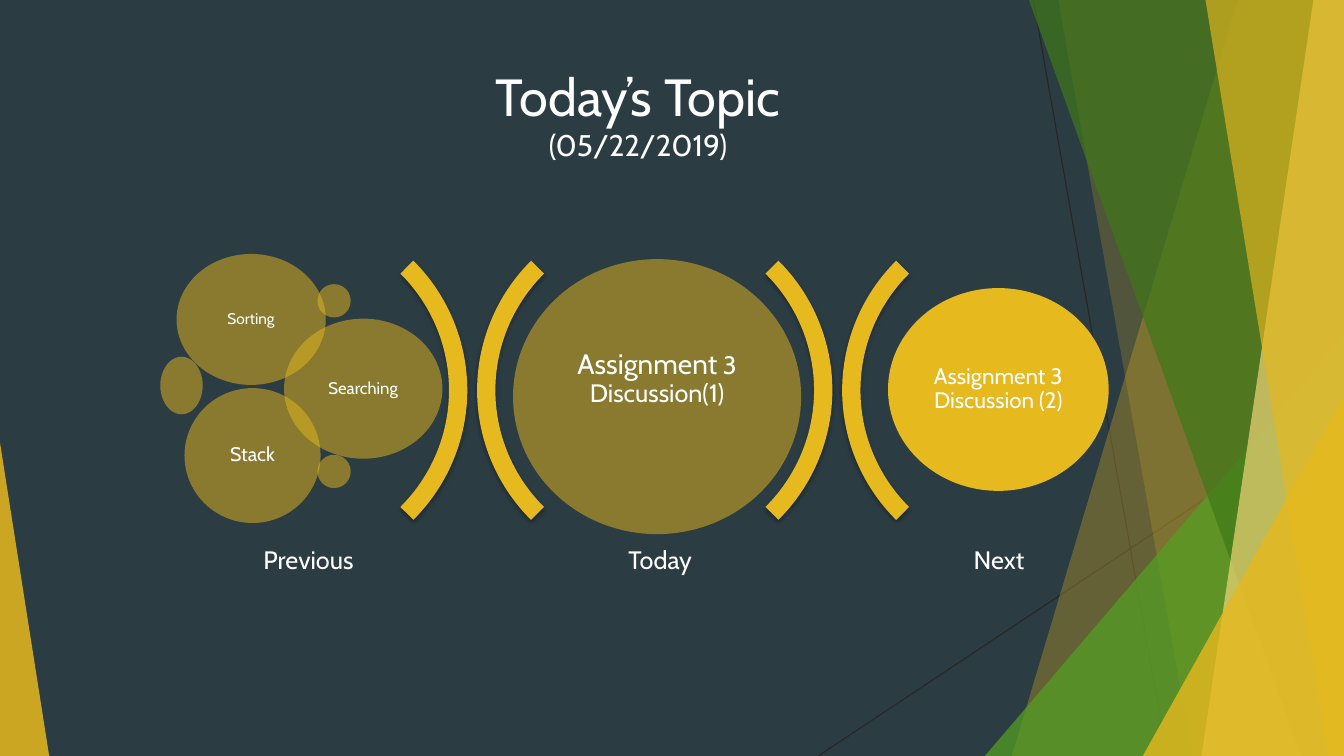
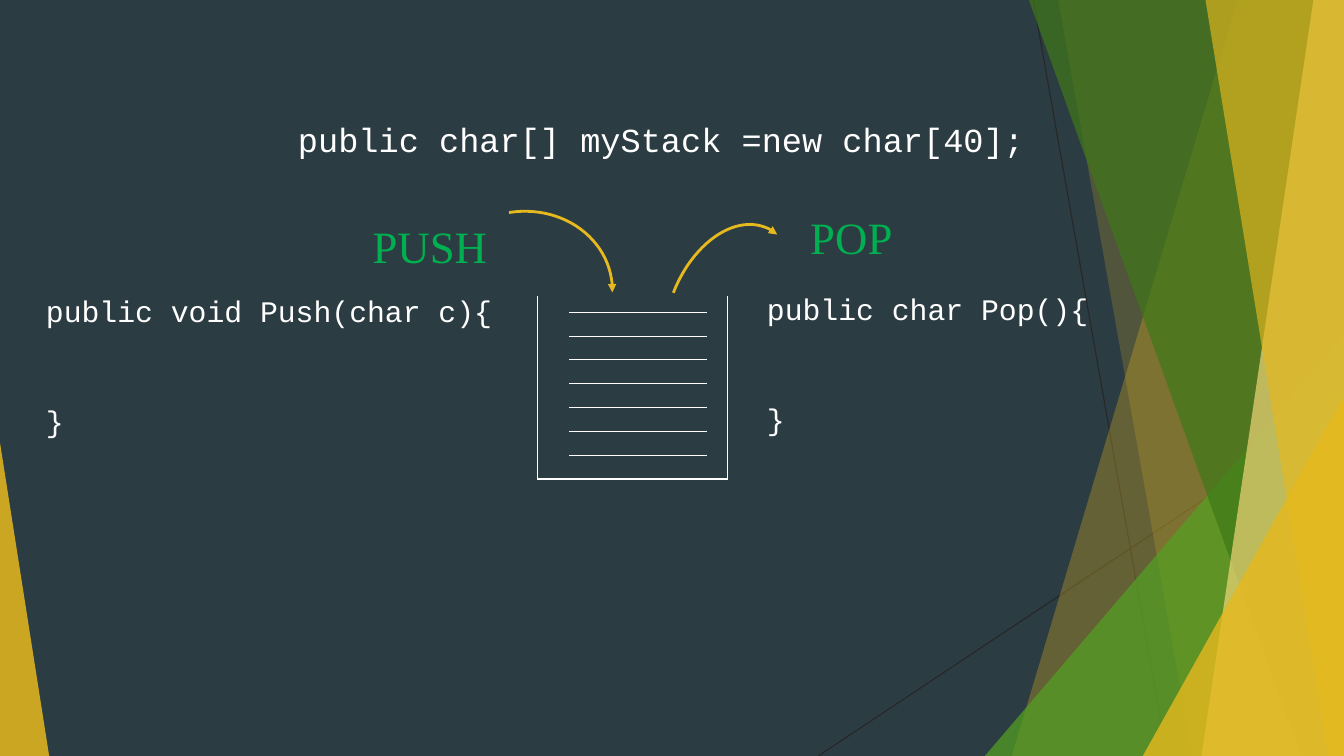
from lxml.etree import SubElement
from pptx import Presentation
from pptx.dml.color import RGBColor
from pptx.enum.shapes import MSO_CONNECTOR, MSO_SHAPE as SHAPE
from pptx.enum.text import MSO_ANCHOR as ANCHOR, PP_ALIGN as ALIGN
from pptx.oxml.ns import qn
from pptx.util import Cm, Pt

# Shared style; all lengths are centimetres
W, H = 33.87, 19.05
COLORS = {"back": "2C3C43", "gold": "E6B91E", "pale": "F0D578", "green": "54A021",
          "forest": "3F7819", "label": "00B050", "white": "FFFFFF", "hair": "262626"}
BODY, CODE, SERIF = "Cabin", "Courier New", "Times New Roman"

# Decoration, back to front
HAIRLINES = [(26.04, 0, 29.41, H), (W, 10.24, 20.62, H)]
# Bands: colour, opacity, left edge at top and bottom
# Wedges: colour, opacity, left, top, width, apex
FACETS = [
    ("band", "gold", 30, 31.19, 25.5),
    ("band", "gold", 20, 26.67, 30.05),
    ("wedge", "green", 72, 24.82, 8.46, 9.05, 1),
    ("band", "forest", 70, 25.93, 32.79),
    ("band", "pale", 70, 33.1, 30.28),
    ("band", "gold", 65, 30.38, 33.48),
    ("wedge", "gold", 80, 28.8, 9.98, 5.07, 1),
    ("wedge", "gold", 85, 0, 11.15, 1.24, 0),
]

# Slide 1: topics
TITLE = [("Today’s Topic", 37.3), ("(05/22/2019)", 21.3)]
STAGES = [("Previous", 4.27), ("Today", 13.13), ("Next", 21.67)]
BRACKETS = [(2.54, 90), (12.04, 270)]
BRACKET_STEP = 9.2
# Bubbles: box, opacity, runs with sizes, bottom inset
BUBBLES = [
    ((12.93, 6.53, 7.26, 6.93), 50, [("Assignment", 20), (" 3 Discussion(1)", 18)], 0.89),
    ((4.45, 6.4, 3.76, 3.3), 50, [("Sorting", 11)], 0),
    ((4.04, 8.99, 1.07, 1.45), 50, [], 0),
    ((8, 7.16, 0.84, 0.84), 50, [], 0),
    ((7.16, 8.03, 3.99, 3.53), 50, [("Searching", 12)], 0),
    ((8, 11.46, 0.84, 0.84), 50, [], 0),
    ((4.65, 9.78, 3.43, 3.4), 50, [("Stack", 14)], 0),
    ((22.38, 7.26, 5.56, 5.11), 100, [("Assignment 3 Discussion (2)", 16)], 0),
]

# Slide 2: stack
BIN_LEFT, BIN_TOP, BIN_RIGHT, BIN_BOTTOM = 13.54, 7.47, 18.34, 12.07
RUNG_LEFT, RUNG_RIGHT, RUNG_TOP, RUNG_STEP, RUNGS = 14.35, 17.81, 7.87, 0.6, 7
ACTIONS = [("PUSH", (9.14, 5.38, 4.11, 1.63)), ("POP", (20.17, 5.16, 4.52, 1.63))]
ARROWS = [((16.05, 6.38, 4.75, 3.12), 291.1), ((10.87, 5.33, 4.57, 4.11), 350.9)]
METHODS = [("public void Push(char c){", (0.91, 7.26, 12.83, 3.91)),
           ("public char Pop(){", (19.08, 7.21, 14.2, 3.91))]
DECLARATION = "public char[] myStack =new char[40];"
BODY_GAP = 53


def rgb(name):
    return RGBColor.from_string(COLORS[name])


def paint(sp, color, opacity=100):
    sp.shadow.inherit = False
    sp.line.fill.background()
    sp.fill.solid()
    sp.fill.fore_color.rgb = rgb(color)
    if opacity < 100:
        clr = sp.element.spPr.find(qn("a:solidFill")).find(qn("a:srgbClr"))
        SubElement(clr, qn("a:alpha"), val=str(opacity * 1000))


def add_shape(s, kind, box, adjust=(), rotation=0):
    sp = s.shapes.add_shape(kind, *map(Cm, box))
    for i, value in enumerate(adjust):
        sp.adjustments[i] = value
    sp.rotation = rotation
    return sp


def add_line(s, ends, color):
    ln = s.shapes.add_connector(MSO_CONNECTOR.STRAIGHT, *map(Cm, ends))
    ln.line.color.rgb = rgb(color)
    ln.line.width = Pt(0.75)
    SubElement(ln.element.spPr, qn("a:effectLst"))


def style(p, size, font=BODY, color="white", align=ALIGN.LEFT):
    p.font.size, p.font.name, p.font.color.rgb = Pt(size), font, rgb(color)
    p.alignment = align


def add_text(s, box, lines, font=BODY, color="white", align=ALIGN.LEFT, anchor=ANCHOR.TOP):
    tf = s.shapes.add_textbox(*map(Cm, box)).text_frame
    tf.word_wrap = True
    tf.vertical_anchor = anchor
    for i, (text, size) in enumerate(lines):
        p = tf.add_paragraph() if i else tf.paragraphs[0]
        p.text = text
        style(p, size, font, color, align)
    return tf


def add_bubble(s, box, opacity, runs, lift):
    sp = add_shape(s, SHAPE.OVAL, box)
    paint(sp, "gold", opacity)
    if not runs:
        return
    tf = sp.text_frame
    tf.word_wrap = True
    tf.vertical_anchor = ANCHOR.MIDDLE
    tf.margin_left = tf.margin_right = tf.margin_top = 0
    tf.margin_bottom = Cm(lift)
    p = tf.paragraphs[0]
    style(p, runs[0][1], align=ALIGN.CENTER)
    p.line_spacing = 0.9
    for text, size in runs:
        r = p.add_run()
        r.text = text
        r.font.size = Pt(size)


def add_bracket(s, left, rotation):
    sp = add_shape(s, SHAPE.BLOCK_ARC, (left, 5.21, 9.22, 9.25), (135, 189, 0.05), rotation)
    paint(sp, "gold")
    shadow = SubElement(sp.element.spPr.find(qn("a:effectLst")), qn("a:outerShdw"),
                        blurRad=str(Pt(3)), dist=str(Pt(2)), dir="5400000", rotWithShape="0")
    clr = SubElement(shadow, qn("a:srgbClr"), val="000000")
    SubElement(clr, qn("a:alpha"), val="35000")


def add_arrow(s, box, rotation):
    sp = add_shape(s, SHAPE.ARC, box, (162, 5.215), rotation)
    sp.shadow.inherit = False
    sp.fill.background()
    sp.line.color.rgb = rgb("gold")
    sp.line.width = Pt(2)
    SubElement(sp.element.spPr.find(qn("a:ln")), qn("a:tailEnd"), type="triangle")


def new_slide(prs):
    s = prs.slides.add_slide(prs.slide_layouts[6])
    s.background.fill.solid()
    s.background.fill.fore_color.rgb = rgb("back")
    for ends in HAIRLINES:
        add_line(s, ends, "hair")
    for kind, color, opacity, *geometry in FACETS:
        if kind == "band":
            top, bottom = geometry
            outline = s.shapes.build_freeform(Cm(top), 0)
            outline.add_line_segments([(Cm(x), Cm(y)) for x, y in ((W, 0), (W, H), (bottom, H))])
            sp = outline.convert_to_shape()
        else:
            left, top, width, apex = geometry
            sp = add_shape(s, SHAPE.ISOSCELES_TRIANGLE, (left, top, width, H - top), (apex,))
        paint(sp, color, opacity)
    return s


prs = Presentation()
prs.slide_width, prs.slide_height = Cm(W), Cm(H)

# Slide 1
s = new_slide(prs)
add_text(s, (5.92, 1.5, 20.32, 2.77), TITLE, align=ALIGN.CENTER)
for i in range(2):
    for left, rotation in BRACKETS:
        add_bracket(s, left + i * BRACKET_STEP, rotation)
for bubble in BUBBLES:
    add_bubble(s, *bubble)
for name, left in STAGES:
    tf = add_text(s, (left, 13.23, 7.01, 1.85), [(name, 18)],
                  align=ALIGN.CENTER, anchor=ANCHOR.MIDDLE)
    tf.paragraphs[0].line_spacing = 0.9

# Slide 2
s = new_slide(prs)
for x in (BIN_LEFT, BIN_RIGHT):
    add_line(s, (x, BIN_TOP, x, BIN_BOTTOM), "white")
add_line(s, (BIN_LEFT, BIN_BOTTOM, BIN_RIGHT, BIN_BOTTOM), "white")
for i in range(RUNGS):
    y = RUNG_TOP + i * RUNG_STEP
    add_line(s, (RUNG_LEFT, y, RUNG_RIGHT, y), "white")
for name, box in ACTIONS:
    add_text(s, box, [(name, 32)], SERIF, "label")
for box, rotation in ARROWS:
    add_arrow(s, box, rotation)
for signature, box in METHODS:
    tf = add_text(s, box, [(signature, 21.3), ("}", 21.3)], CODE)
    tf.paragraphs[1].space_before = Pt(BODY_GAP)
add_text(s, (7.26, 2.87, 23.27, 1.27), [(DECLARATION, 24)], CODE)

prs.save("out.pptx")
